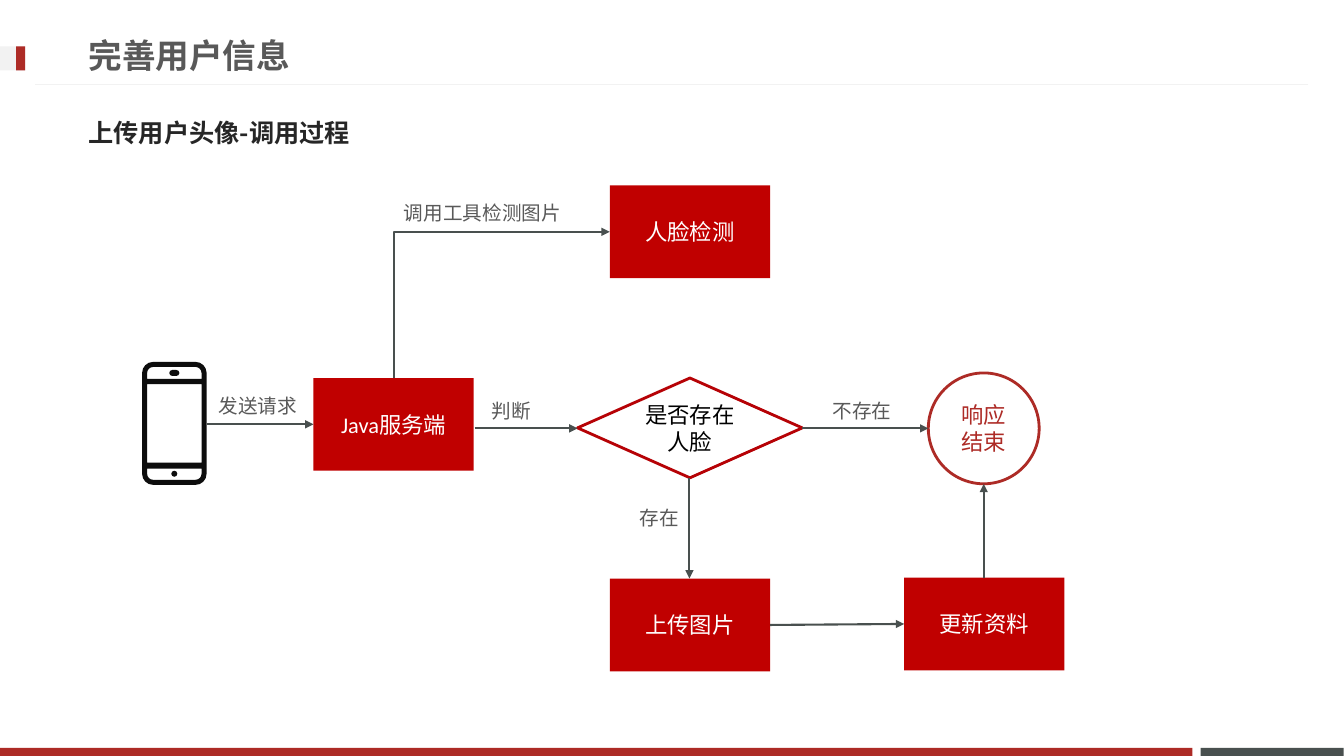
from lxml.etree import SubElement
from pptx import Presentation
from pptx.dml.color import RGBColor
from pptx.enum.shapes import MSO_CONNECTOR as LINE, MSO_SHAPE as SHAPE
from pptx.enum.text import MSO_ANCHOR as ANCHOR, PP_ALIGN as ALIGN
from pptx.oxml.ns import qn
from pptx.util import Inches, Pt

COLORS = {
    "brand": "AD2B26", "box": "C00000", "diamond": "B60206",
    "slate": "49504F", "pale": "F2F2F2", "white": "FFFFFF",
    "black": "000000", "phone": "0D0D0D", "gray": "595959", "dark": "262626",
}
ARC = 0.55


def rgb(name):
    return RGBColor.from_string(COLORS[name])


def set_text(sp, text, size, color, font="Calibri", bold=False, align=None):
    tf = sp.text_frame
    tf.text = text
    p = tf.paragraphs[0]
    p.alignment = align
    p.font.size = Pt(size)
    p.font.name = font
    p.font.bold = bold
    p.font.color.rgb = rgb(color)
    return tf


def paint(sp, fill=None, line=None):
    sp.shadow.inherit = False
    if fill:
        sp.fill.solid()
        sp.fill.fore_color.rgb = rgb(fill)
    else:
        sp.fill.background()
    if line:
        sp.line.color.rgb = rgb(line)
        sp.line.width = Pt(2)
    else:
        sp.line.fill.background()


def add_node(s, kind, box, fill=None, line=None, text=None, color="white", font="Calibri"):
    sp = s.shapes.add_shape(kind, *map(Inches, box))
    paint(sp, fill, line)
    if text:
        tf = set_text(sp, text, 16, color, font, align=ALIGN.CENTER)
        tf.word_wrap = True
        tf.vertical_anchor = ANCHOR.MIDDLE


def add_heading(s, text, top, width, size, color, font):
    sp = s.shapes.add_textbox(*map(Inches, (0.78, top, width, 0.57)))
    tf = set_text(sp, text, size, color, font, bold=True)
    tf.word_wrap = True
    tf.vertical_anchor = ANCHOR.MIDDLE


def add_label(s, text, left, top, width):
    sp = s.shapes.add_textbox(*map(Inches, (left, top, width, 0.34)))
    set_text(sp, text, 14, "gray").word_wrap = False


def add_line(s, start, end, color="slate", width=1.5, arrow=True, kind=LINE.STRAIGHT):
    cxn = s.shapes.add_connector(kind, *map(Inches, (*start, *end)))
    cxn.line.color.rgb = rgb(color)
    cxn.line.width = Pt(width)
    if arrow:
        SubElement(cxn.line._get_or_add_ln(), qn("a:tailEnd"), type="triangle")
    SubElement(cxn._element.spPr, qn("a:effectLst"))
    return cxn


def add_corner_arrow(s, start, end):
    mid_x, mid_y = (start[0] + end[0]) / 2, (start[1] + end[1]) / 2
    half_w, half_h = (start[1] - end[1]) / 2, (end[0] - start[0]) / 2
    cxn = add_line(s, (mid_x + half_w, mid_y + half_h),
                   (mid_x - half_w, mid_y - half_h), kind=LINE.ELBOW)
    spPr = cxn._element.spPr
    spPr.find(qn("a:prstGeom")).set("prst", "bentConnector2")
    spPr.find(qn("a:xfrm")).set("rot", "5400000")


def rounded_outline(left, top, right, bottom, top_radius=0, bottom_radius=0):
    corners = [
        (right, bottom, bottom_radius, (0, -1), (-1, 0)),
        (left, bottom, bottom_radius, (1, 0), (0, -1)),
        (left, top, top_radius, (0, 1), (1, 0)),
        (right, top, top_radius, (-1, 0), (0, 1)),
    ]
    steps = []
    for x, y, radius, enter, leave in corners:
        corner = Inches(x), Inches(y)
        first, last = [(Inches(x + radius * dx), Inches(y + radius * dy))
                       for dx, dy in (enter, leave)]
        if not steps or steps[-1][0] != first:
            steps.append((first, None))
        if radius:
            steps.append((last, corner))
    return steps


def curve_corner(segment, start, corner, end, origin):
    segment.tag = qn("a:cubicBezTo")
    segment.remove(segment[0])
    controls = [[a + ARC * (c - a) for a, c in zip(point, corner)] for point in (start, end)]
    for point in (*controls, end):
        x, y = [str(round(value - zero)) for value, zero in zip(point, origin)]
        SubElement(segment, qn("a:pt"), x=x, y=y)


def add_phone(s):
    outlines = [
        rounded_outline(1.41, 3.59, 2.05, 4.81, 0.11, 0.11),
        rounded_outline(1.46, 3.64, 2, 3.76, 0.06),
        rounded_outline(1.46, 3.81, 2, 4.59),
        rounded_outline(1.46, 4.65, 2, 4.76, 0, 0.06),
        rounded_outline(1.68, 3.67, 1.78, 3.73, 0.03, 0.03),
        rounded_outline(1.7, 4.67, 1.76, 4.73, 0.03, 0.03),
    ]
    builder = s.shapes.build_freeform(*outlines[0][0][0])
    for index, steps in enumerate(outlines):
        points = [point for point, corner in steps]
        if index:
            builder.move_to(*points[0])
        builder.add_line_segments(points[1:], close=points[0] != points[-1])
    sp = builder.convert_to_shape()
    paint(sp, "phone")
    segments = [e for e in sp._element.iter(qn("a:lnTo"))]
    moves = [(before[0], corner, end) for steps in outlines
             for before, (end, corner) in zip(steps, steps[1:])]
    for segment, (start, corner, end) in zip(segments, moves):
        if corner:
            curve_corner(segment, start, corner, end, (sp.left, sp.top))


def add_frame(s):
    for box, fill in [
        ((11.91, 7.42, 1.42, 0.08), "slate"),
        ((0, 7.42, 11.83, 0.08), "brand"),
        ((0, 0.46, 0.25, 0.24), "pale"),
        ((0.16, 0.46, 0.09, 0.24), "brand"),
    ]:
        add_node(s, SHAPE.RECTANGLE, box, fill)
    add_line(s, (12.98, 0.84), (0.35, 0.84), "pale", 0.75, arrow=False)
    add_heading(s, "完善用户信息", 0.26, 9.59, 24, "gray", "Arial")
    add_heading(s, "上传用户头像-调用过程", 1.03, 11.76, 18, "dark", "Noto Sans CJK JP")


def main():
    prs = Presentation()
    prs.slide_width, prs.slide_height = Inches(40 / 3), Inches(7.5)
    s = prs.slides.add_slide(prs.slide_layouts[6])
    add_frame(s)
    add_phone(s)

    add_node(s, SHAPE.DIAMOND, (5.73, 3.75, 2.23, 0.99), line="diamond",
             text="是否存在人脸", color="black")
    add_node(s, SHAPE.OVAL, (9.21, 3.7, 1.1, 1.1), "white", "brand",
             "响应结束", "brand", "Arial")
    for text, left, top in [
        ("Java服务端", 3.11, 3.75),
        ("人脸检测", 6.05, 1.84),
        ("上传图片", 6.05, 5.74),
        ("更新资料", 8.97, 5.73),
    ]:
        add_node(s, SHAPE.RECTANGLE, (left, top, 1.59, 0.92), "box", text=text)

    add_corner_arrow(s, (3.91, 3.75), (6.05, 2.3))
    for start, end in [
        ((2.05, 4.21), (3.11, 4.21)),
        ((4.71, 4.25), (5.73, 4.25)),
        ((7.96, 4.25), (9.21, 4.25)),
        ((6.84, 4.74), (6.84, 5.74)),
        ((7.64, 6.2), (8.97, 6.19)),
        ((9.76, 5.73), (9.76, 4.8)),
    ]:
        add_line(s, start, end)

    for label in [
        ("发送请求", 2.07, 3.86, 0.98),
        ("调用工具检测图片", 3.91, 1.94, 1.77),
        ("判断", 4.78, 3.91, 0.59),
        ("不存在", 8.16, 3.91, 0.79),
        ("存在", 6.25, 4.97, 0.59),
    ]:
        add_label(s, *label)
    prs.save("out.pptx")


if __name__ == "__main__":
    main()
